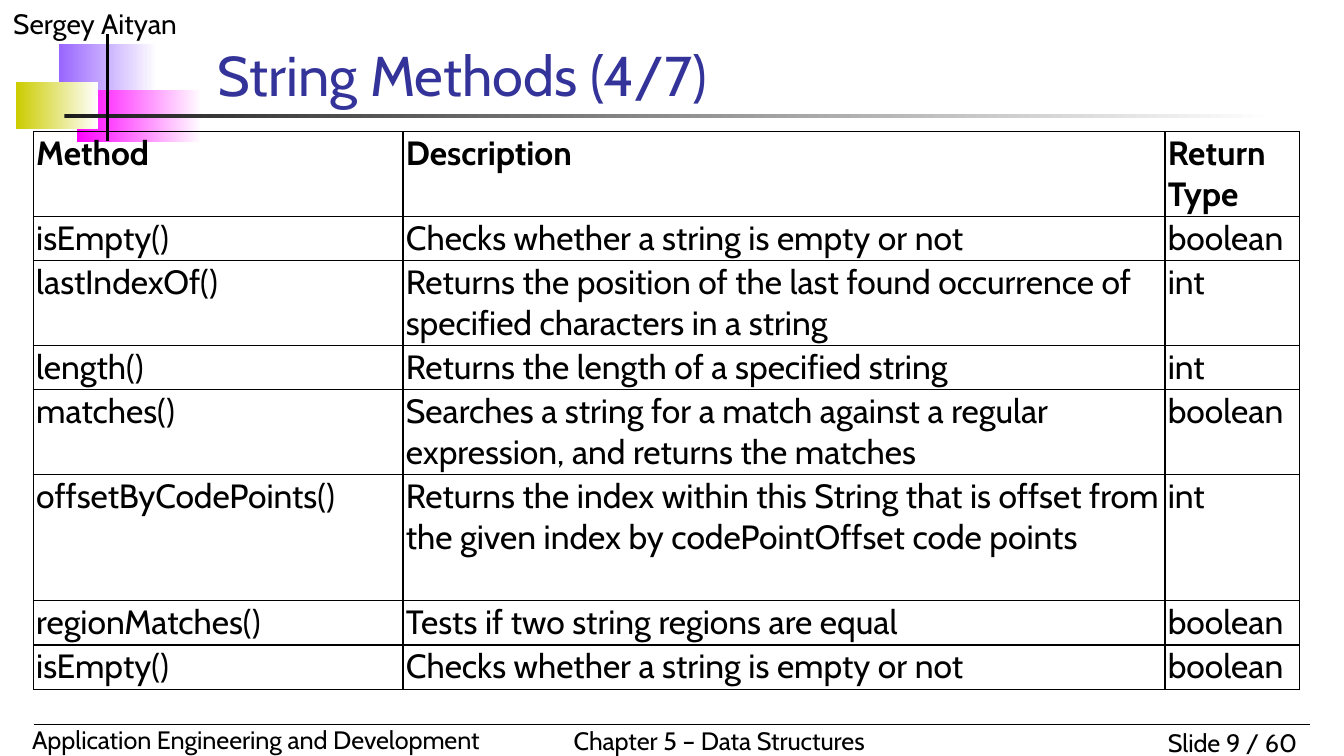
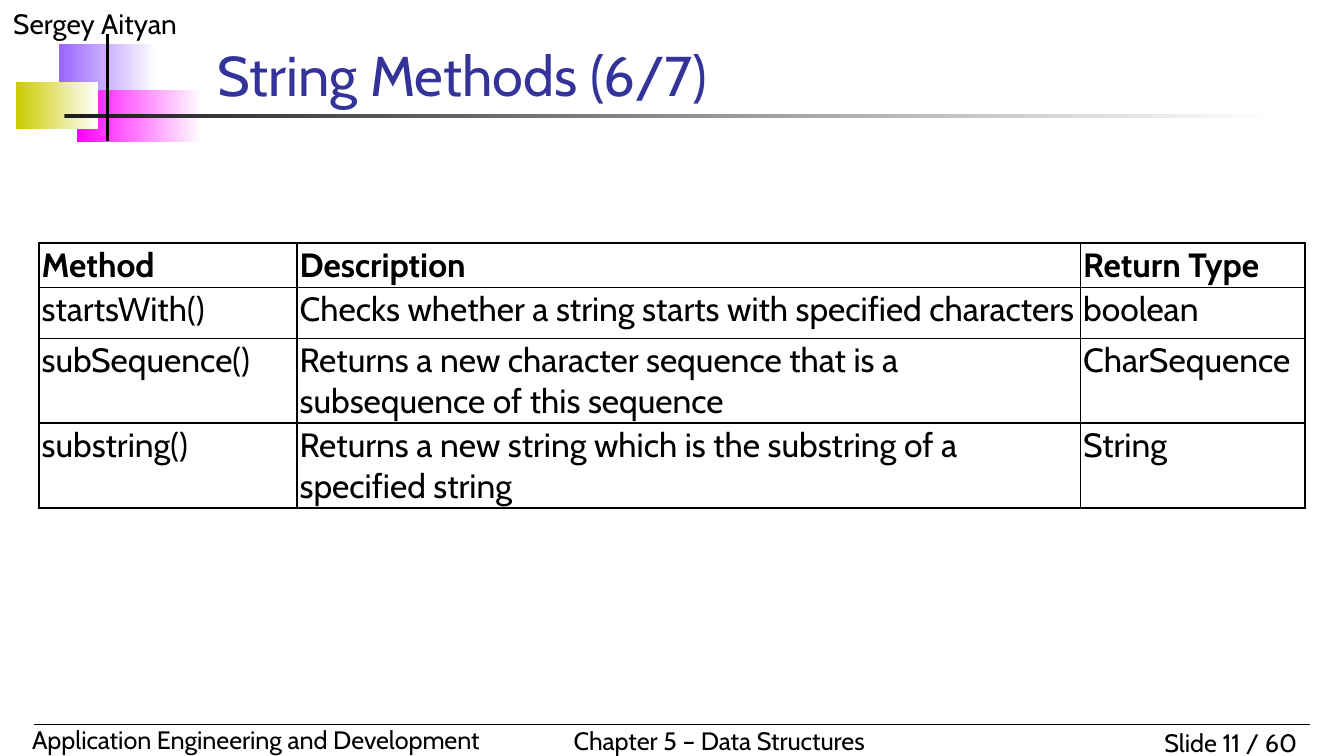
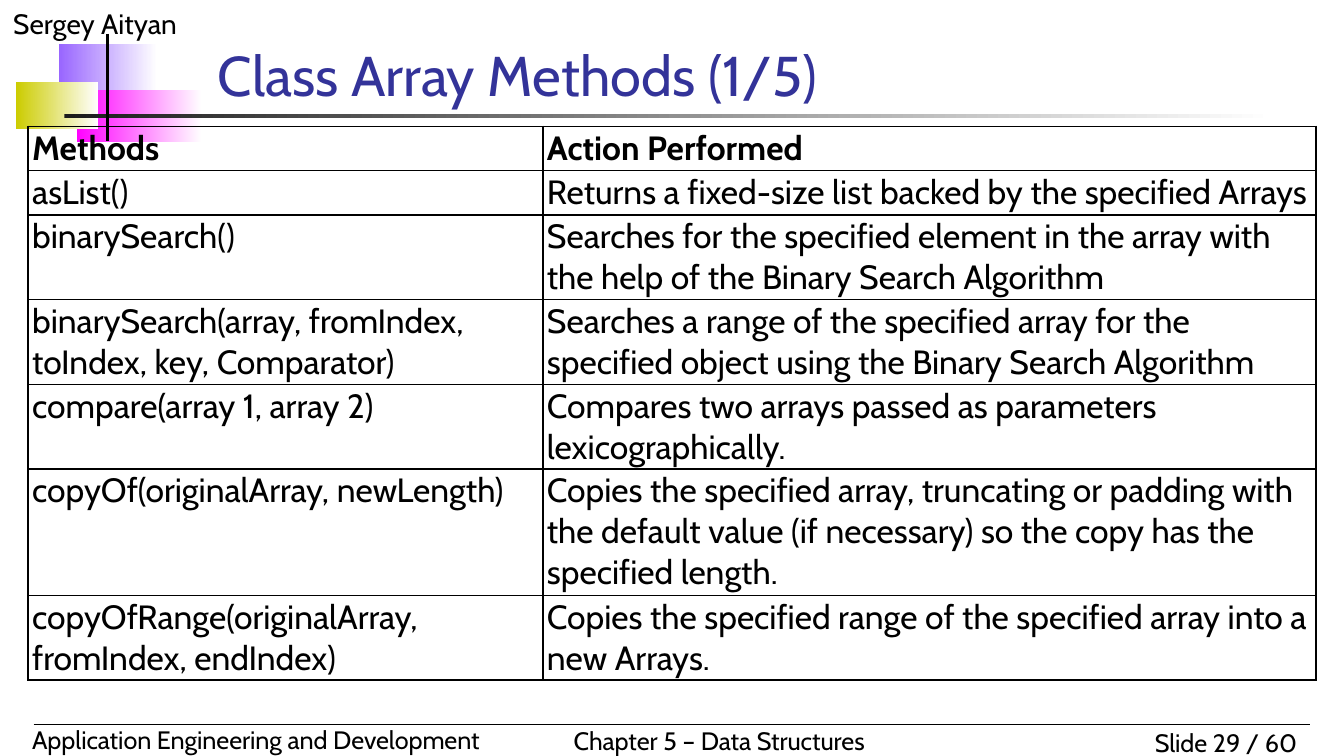
from lxml import etree
from pptx import Presentation
from pptx.dml.color import RGBColor
from pptx.enum import shapes, text
from pptx.oxml import ns
from pptx.util import Inches, Pt

# Shared style
FONT = "Cabin"
BLACK = RGBColor(0x00, 0x00, 0x00)
WHITE = RGBColor(0xFF, 0xFF, 0xFF)
NAVY = RGBColor(0x33, 0x33, 0x99)
PURPLE = RGBColor(0x99, 0x66, 0xFF)
MAGENTA = RGBColor(0xFF, 0x00, 0xFF)
OLIVE = RGBColor(0xCC, 0xCC, 0x00)
CHARCOAL = RGBColor(0x1C, 0x1C, 0x1C)
LEFT, RIGHT = text.PP_ALIGN.LEFT, text.PP_ALIGN.RIGHT

SLIDE_WIDTH = 10
SLIDE_HEIGHT = SLIDE_WIDTH * 9 / 16
SLIDE_COUNT = 60
FOOTER_SIZE = 13.5
ONE, TWO, THREE = 0.33, 0.63, 0.94  # row heights by number of text lines

# Corner blocks and the fading rule under the title
FADING_BARS = [
    (0.44, 0.33, 0.73, 0.39, PURPLE),
    (0.57, 0.67, 0.93, 0.39, MAGENTA),
    (0.12, 0.61, 0.61, 0.35, OLIVE),
    (0.48, 0.85, 9, 0.03, CHARCOAL),
]

# Table content
STRING_4 = [
    ("Method", "Description", "Return Type"),
    ("isEmpty()", "Checks whether a string is empty or not", "boolean"),
    ("lastIndexOf()", "Returns the position of the last found occurrence of "
     "specified characters in a string", "int"),
    ("length()", "Returns the length of a specified string", "int"),
    ("matches()", "Searches a string for a match against a regular "
     "expression, and returns the matches", "boolean"),
    ("offsetByCodePoints()", "Returns the index within this String that is "
     "offset from the given index by codePointOffset code points", "int"),
    ("regionMatches()", "Tests if two string regions are equal", "boolean"),
    ("isEmpty()", "Checks whether a string is empty or not", "boolean"),
]
STRING_6 = [
    ("Method", "Description", "Return Type"),
    ("startsWith()", "Checks whether a string starts with specified "
     "characters", "boolean"),
    ("subSequence()", "Returns a new character sequence that is a "
     "subsequence of this sequence", "CharSequence"),
    ("substring()", "Returns a new string which is the substring of a "
     "specified string", "String"),
]
ARRAY_1 = [
    ("Methods", "Action Performed"),
    ("asList()", "Returns a fixed-size list backed by the specified Arrays"),
    ("binarySearch()", "Searches for the specified element in the array with "
     "the help of the Binary Search Algorithm"),
    ("binarySearch(array, fromIndex, toIndex, key, Comparator)",
     "Searches a range of the specified array for the specified object using "
     "the Binary Search Algorithm"),
    ("compare(array 1, array 2)",
     "Compares two arrays passed as parameters lexicographically."),
    ("copyOf(originalArray, newLength)",
     "Copies the specified array, truncating or padding with the default "
     "value (if necessary) so the copy has the specified length."),
    ("copyOfRange(originalArray, fromIndex, endIndex)",
     "Copies the specified range of the specified array into a new Arrays."),
]


def write(tf, content, size=18, color=BLACK, bold=False, align=LEFT):
    p = tf.paragraphs[0]
    p.alignment = align
    r = p.add_run()
    r.text = content
    r.font.name, r.font.size, r.font.bold = FONT, Pt(size), bold
    r.font.color.rgb = color


def add_label(slide, content, x, y, w, h, wrap=True, **fmt):
    tf = slide.shapes.add_textbox(*map(Inches, (x, y, w, h))).text_frame
    tf.word_wrap = wrap
    write(tf, content, **fmt)


def add_fading_bar(slide, x, y, w, h, color):
    sp = slide.shapes.add_shape(shapes.MSO_SHAPE.RECTANGLE,
                                *map(Inches, (x, y, w, h)))
    sp.shadow.inherit = False
    sp.line.fill.background()
    sp.fill.gradient()
    sp.fill.gradient_angle = 0
    for stop, shade in zip(sp.fill.gradient_stops, (color, WHITE)):
        stop.color.rgb = shade


def add_line(slide, x1, y1, x2, y2, width):
    line = slide.shapes.add_connector(shapes.MSO_CONNECTOR.STRAIGHT,
                                      *map(Inches, (x1, y1, x2, y2)))
    line.line.color.rgb = BLACK
    line.line.width = Pt(width)
    etree.SubElement(line._element.spPr, ns.qn("a:effectLst"))


def add_borders(cell, color=BLACK, width=1):
    tc_pr = cell._tc.get_or_add_tcPr()
    for side in ("lnL", "lnR", "lnT", "lnB"):
        ln = etree.SubElement(tc_pr, ns.qn(f"a:{side}"), w=str(Pt(width)))
        fill = etree.SubElement(ln, ns.qn("a:solidFill"))
        etree.SubElement(fill, ns.qn("a:srgbClr"), val=str(color))


def add_method_table(slide, rows, x, y, widths, heights, inset):
    frame = slide.shapes.add_table(
        len(rows), len(widths),
        *map(Inches, (x, y, sum(widths), sum(heights))))
    table = frame.table
    table.first_row = table.horz_banding = False
    for column, width in zip(table.columns, widths):
        column.width = Inches(width)
    for i, (values, height) in enumerate(zip(rows, heights)):
        table.rows[i].height = Inches(height)
        for cell, value in zip(table.rows[i].cells, values):
            cell.margin_left = cell.margin_right = Inches(inset)
            cell.margin_top = cell.margin_bottom = Inches(0.01)
            add_borders(cell)
            cell.fill.background()
            write(cell.text_frame, value, bold=i == 0)


def add_page(prs, title, number):
    slide = prs.slides.add_slide(prs.slide_layouts[5])

    # Decoration
    for bar in FADING_BARS:
        add_fading_bar(slide, *bar)

    # Author and footer
    add_label(slide, "Sergey Aityan", 0, 0, 2.5, 0.35, size=15)
    add_label(slide, f"Slide {number} / {SLIDE_COUNT}", 8.25, 5.36, 1.5, 0.33,
              size=FOOTER_SIZE, align=RIGHT)
    add_label(slide, "Application Engineering and Development",
              0.14, 5.34, 3.7, 0.33, size=FOOTER_SIZE)
    add_label(slide, "Chapter 5 – Data Structures", 4.17, 5.35, 2.54, 0.33,
              wrap=False, size=FOOTER_SIZE)
    add_line(slide, 0.25, 5.39, 9.75, 5.39, 0.75)
    add_line(slide, 0.8, 0.25, 0.8, 1.05, 2)

    # Title
    sp = slide.shapes.title
    sp.left, sp.top, sp.width, sp.height = map(Inches, (1.52, 0.31, 7.35, 0.54))
    tf = sp.text_frame
    tf.auto_size = text.MSO_AUTO_SIZE.NONE
    tf.vertical_anchor = text.MSO_ANCHOR.BOTTOM
    write(tf, title, size=30, color=NAVY)
    return slide


def main():
    prs = Presentation()
    prs.slide_width = Inches(SLIDE_WIDTH)
    prs.slide_height = Inches(SLIDE_HEIGHT)

    slide = add_page(prs, "String Methods (4/7)", 9)
    add_method_table(slide, STRING_4, 0.25, 0.98, [2.75, 5.67, 1],
                     [TWO, ONE, TWO, ONE, TWO, THREE, ONE, ONE], 0.02)

    slide = add_page(prs, "String Methods (6/7)", 11)
    add_method_table(slide, STRING_6, 0.29, 1.81, [1.92, 5.83, 1.67],
                     [ONE, 0.38, TWO, TWO], 0.02)

    slide = add_page(prs, "Class Array Methods (1/5)", 29)
    add_method_table(slide, ARRAY_1, 0.21, 0.94, [3.83, 5.75],
                     [ONE, ONE, TWO, TWO, TWO, THREE, TWO], 0.03)

    prs.save("out.pptx")


if __name__ == "__main__":
    main()
